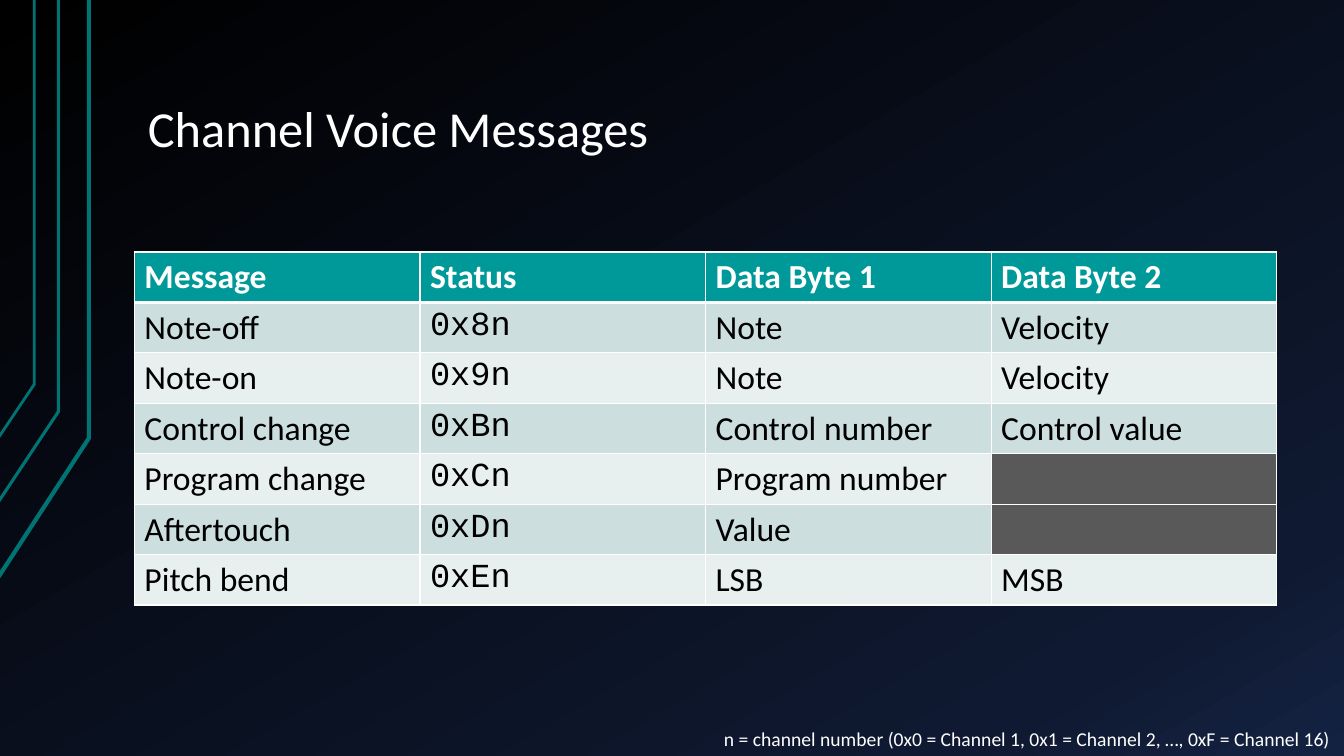
"""Build the Channel Voice Messages slide."""
from copy import deepcopy
from dataclasses import dataclass

from lxml import etree
from pptx import Presentation
from pptx.dml.color import RGBColor
from pptx.enum import text
from pptx.oxml.ns import qn
from pptx.util import Pt


@dataclass(frozen=True)
class Theme:
    body_font: str = "Calibri"
    code_font: str = "Courier New"
    title_size: float = 36
    table_size: float = 24
    note_size: float = 14
    white: str = "FFFFFF"
    black: str = "000000"
    trace: str = "007373"
    header: str = "009999"
    bands: tuple = ("CCDEDE", "E7EFEF")
    unused: str = "595959"
    backdrop: tuple = ((0, "000000"), (0.85, "0F1931"), (1, "142242"))
    backdrop_angle: float = 300
    rule: float = 1
    header_rule: float = 3


@dataclass(frozen=True)
class Trace:
    points: tuple
    width: float


@dataclass(frozen=True)
class Label:
    words: str
    box: tuple
    size: float
    insets: tuple
    anchor: text.MSO_ANCHOR
    wrap: bool
    line_spacing: float = 1.0


THEME = Theme()
TABLE_BOX = (96, 180, 816, 252)
CODE_COLUMN = 1
ROWS = (
    ("Message", "Status", "Data Byte 1", "Data Byte 2"),
    ("Note-off", "0x8n", "Note", "Velocity"),
    ("Note-on", "0x9n", "Note", "Velocity"),
    ("Control change", "0xBn", "Control number", "Control value"),
    ("Program change", "0xCn", "Program number", ""),
    ("Aftertouch", "0xDn", "Value", ""),
    ("Pitch bend", "0xEn", "LSB", "MSB"),
)
TRACES = (
    Trace(((-1, 412), (63.5, 313), (63.5, 0)), 3),
    Trace(((-1.5, 359), (41.75, 294), (41.75, 0)), 2.25),
    Trace(((-1, 312.5), (24.5, 274.5), (24.5, 0)), 2),
)
LABELS = (
    Label("Channel Voice Messages", (96, 21.5, 816, 96.5), THEME.title_size,
          (9.6, 4.8), text.MSO_ANCHOR.BOTTOM, True, 0.9),
    Label("n = channel number (0x0 = Channel 1, 0x1 = Channel 2, …, 0xF = Channel 16)",
          (510, 515.5, 450, 24.25), THEME.note_size,
          (7.2, 3.6), text.MSO_ANCHOR.TOP, False),
)


def rgb(value: str) -> RGBColor:
    return RGBColor.from_string(value)


def add_run(p, words: str, size: float, color: str,
            font: str = THEME.body_font, bold: bool = False) -> None:
    r = p.add_run()
    r.text = words
    r.font.name = font
    r.font.size = Pt(size)
    r.font.bold = bold
    r.font.color.rgb = rgb(color)


def paint_backdrop(s) -> None:
    fill = s.background.fill
    fill.gradient()
    fill.gradient_angle = THEME.backdrop_angle
    stops = next(s._element.iter(qn("a:gsLst")))
    stops.append(deepcopy(stops[-1]))
    for stop, (position, color) in zip(fill.gradient_stops, THEME.backdrop):
        stop.position = position
        stop.color.rgb = rgb(color)


def draw_trace(s, trace: Trace) -> None:
    start, *rest = [(Pt(x), Pt(y)) for x, y in trace.points]
    builder = s.shapes.build_freeform(*start)
    builder.add_line_segments(rest, close=False)
    sp = builder.convert_to_shape()
    sp.shadow.inherit = False
    sp.fill.background()
    sp.line.color.rgb = rgb(THEME.trace)
    sp.line.width = Pt(trace.width)


def draw_label(s, label: Label) -> None:
    sp = s.shapes.add_textbox(*map(Pt, label.box))
    tf = sp.text_frame
    tf.word_wrap = label.wrap
    tf.vertical_anchor = label.anchor
    tf.margin_left = tf.margin_right = Pt(label.insets[0])
    tf.margin_top = tf.margin_bottom = Pt(label.insets[1])
    p = tf.paragraphs[0]
    p.line_spacing = label.line_spacing
    add_run(p, label.words, label.size, THEME.white)


def add_borders(cell, top: float, bottom: float) -> None:
    props = cell._tc.get_or_add_tcPr()
    widths = {"lnL": THEME.rule, "lnR": THEME.rule, "lnT": top, "lnB": bottom}
    for tag, width in widths.items():
        line = etree.SubElement(props, qn(f"a:{tag}"), w=str(Pt(width)))
        solid = etree.SubElement(line, qn("a:solidFill"))
        etree.SubElement(solid, qn("a:srgbClr"), val=THEME.white)


def draw_cell(cell, words: str, row: int, column: int) -> None:
    is_header = row == 0
    add_borders(cell,
                THEME.header_rule if row == 1 else THEME.rule,
                THEME.header_rule if is_header else THEME.rule)
    if is_header:
        color = THEME.header
    elif words:
        color = THEME.bands[(row - 1) % 2]
    else:
        color = THEME.unused
    cell.fill.solid()
    cell.fill.fore_color.rgb = rgb(color)
    if words:
        is_code = column == CODE_COLUMN and not is_header
        add_run(cell.text_frame.paragraphs[0], words, THEME.table_size,
                THEME.white if is_header else THEME.black,
                THEME.code_font if is_code else THEME.body_font, is_header)


def draw_messages(s) -> None:
    table = s.shapes.add_table(len(ROWS), len(ROWS[0]), *map(Pt, TABLE_BOX)).table
    for i, row in enumerate(ROWS):
        for j, words in enumerate(row):
            draw_cell(table.cell(i, j), words, i, j)


def main() -> None:
    prs = Presentation()
    prs.slide_width, prs.slide_height = Pt(960), Pt(540)
    s = prs.slides.add_slide(prs.slide_layouts[6])
    paint_backdrop(s)
    for trace in TRACES:
        draw_trace(s, trace)
    for label in LABELS:
        draw_label(s, label)
    draw_messages(s)
    prs.save("out.pptx")


if __name__ == "__main__":
    main()
